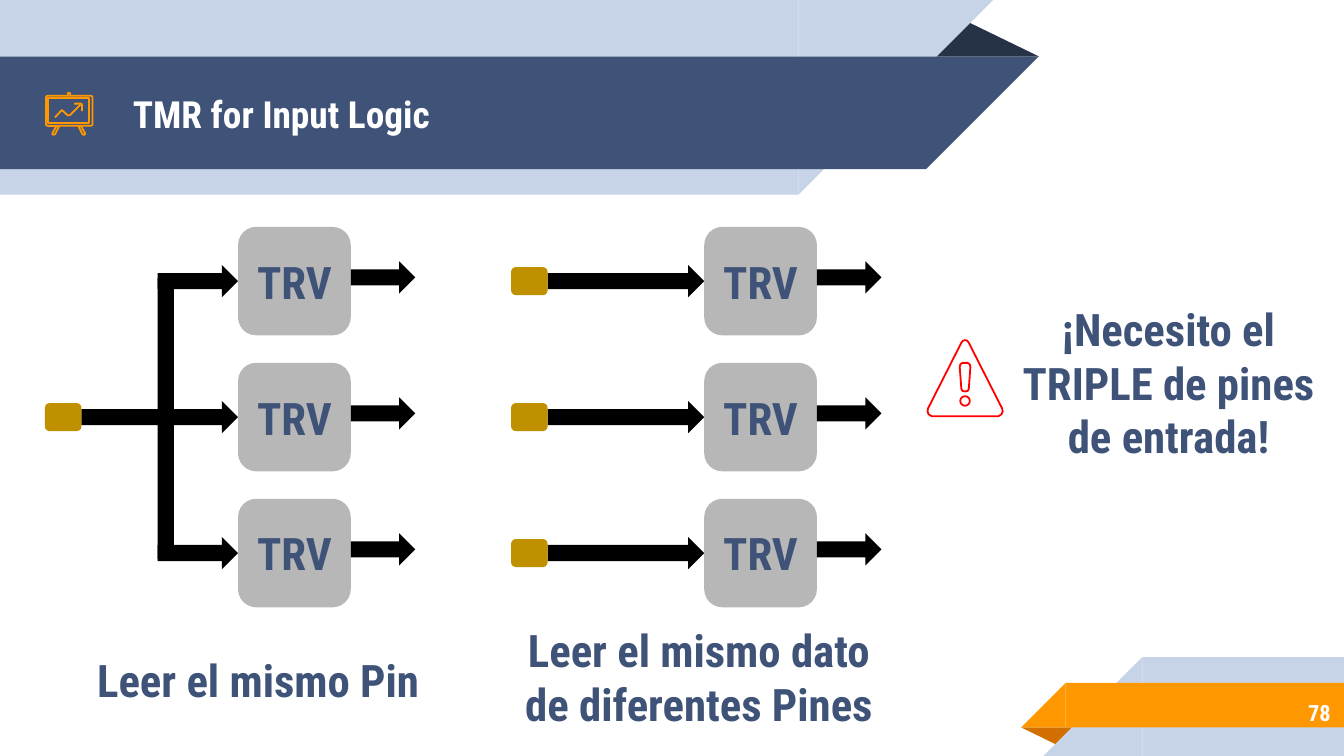
import math
from pptx import Presentation
from pptx.dml.color import RGBColor
from pptx.enum import shapes, text
from pptx.util import Cm, Pt

NAVY = RGBColor(0x3F, 0x53, 0x78)
DARK = RGBColor(0x26, 0x32, 0x48)
PALE = RGBColor(0xC7, 0xD3, 0xE6)
ORANGE = RGBColor(0xFF, 0x98, 0x00)
RUST = RGBColor(0xD2, 0x6F, 0x00)
GRAY = RGBColor(0xB7, 0xB7, 0xB7)
GOLD = RGBColor(0xBF, 0x90, 0x00)
RED = RGBColor(0xFF, 0x00, 0x00)
BLACK = RGBColor(0, 0, 0)
WHITE = RGBColor(0xFF, 0xFF, 0xFF)
FONT = "Roboto Condensed"
MSO = shapes.MSO_SHAPE
ALIGN = text.PP_ALIGN

# Content; all lengths are in centimetres
TITLE = "TMR for Input Logic"
PAGE = "78"
BLOCK = "TRV"
CAPTIONS = [
    ("Leer el mismo Pin", (1.12, 12.4, 7.52, 0.89)),
    ("Leer el mismo dato de diferentes Pines", (9.45, 11.99, 7.52, 1.6)),
    ("¡Necesito el TRIPLE de pines de entrada!", (18.95, 5.61, 6.27, 3.23)),
]

# Slanted bands: left, top, width, height, colour; the slant is as wide as high
TOP_BANDS = [(0, 0, 15.09, 3.68, PALE), (0, 1.07, 17.5, 2.13, NAVY)]
BOTTOM_BANDS = [(21.59, 12.42, 3.81, 1.87, PALE),
                (20.14, 12.91, 5.26, 0.84, ORANGE)]

# Diagram grid
ROWS = 3
FIRST_TOP, ROW_STEP = 4.29, 2.57
COLUMN_STEP = 8.81
PIN_X, PIN_W, PIN_H = 0.85, 0.69, 0.53
BLOCK_X, BLOCK_W, BLOCK_H = 4.5, 2.13, 2.05
BUS_X, BUS_W = 2.98, 0.31
ARROW_H, OUT_W, OUT_RISE = 0.61, 1.22, 0.07

# Board icon
BOARD_AXIS = 1.3
LEG = [(1.07, 2.38), (0.99, 2.52), (1.0, 2.55), (1.04, 2.54), (1.12, 2.38)]
BOARD_LINES = [
    [(1.28, 1.8), (1.28, 1.77), (1.3, 1.75), (1.33, 1.77), (1.33, 1.8)],
    LEG,
    [(2 * BOARD_AXIS - x, y) for x, y in LEG],
    [(1.52, 1.98), (1.32, 2.18), (1.28, 2.18), (1.17, 2.08), (1.04, 2.22)],
    [(1.4, 1.96), (1.54, 1.96), (1.55, 1.98), (1.55, 2.1)],
]

# Right halves of the warning sign: distance from the axis, height
WARNING_AXIS = 18.24
WARNING_HALVES = [
    [(0, 6.43), (0.04, 6.44), (0.07, 6.48), (0.7, 7.72), (0.71, 7.78),
     (0.69, 7.83), (0.63, 7.87)],
    [(0.05, 6.86), (0.09, 6.89), (0.1, 6.94), (0.07, 7.35), (0.05, 7.39),
     (0, 7.4)],
    [(0.09 * math.sin(math.pi * i / 8), 7.58 - 0.09 * math.cos(math.pi * i / 8))
     for i in range(9)],
]

prs = Presentation()
prs.slide_width, prs.slide_height = Cm(25.4), Cm(14.29)
s = prs.slides.add_slide(prs.slide_layouts[5])


def add_shape(kind, x, y, w, h, fill=None, line=None, rotation=0):
    sp = s.shapes.add_shape(kind, Cm(x), Cm(y), Cm(w), Cm(h))
    sp.rotation = rotation
    return paint(sp, fill, line)


def paint(sp, fill=None, line=None):
    sp.shadow.inherit = False
    if fill is None:
        sp.fill.background()
    else:
        sp.fill.solid()
        sp.fill.fore_color.rgb = fill
    if line is None:
        sp.line.fill.background()
    else:
        sp.line.color.rgb = line
        sp.line.width = Pt(0.96)
    return sp


def draw_outline(contours, color, close):
    points = [[(Cm(x), Cm(y)) for x, y in c] for c in contours]
    builder = s.shapes.build_freeform(*points[0][0])
    for i, contour in enumerate(points):
        if i:
            builder.move_to(*contour[0])
        builder.add_line_segments(contour[1:], close=close)
    paint(builder.convert_to_shape(), line=color)


def write(sp, words, size, color, align):
    tf = sp.text_frame
    tf.word_wrap = True
    tf.auto_size = text.MSO_AUTO_SIZE.NONE
    tf.vertical_anchor = text.MSO_ANCHOR.MIDDLE
    tf.margin_left = tf.margin_right = tf.margin_top = tf.margin_bottom = Cm(0.25)
    p = tf.paragraphs[0]
    p.alignment = align
    r = p.add_run()
    r.text = words
    r.font.name, r.font.size, r.font.bold = FONT, Pt(size), True
    r.font.color.rgb = color


def add_text(words, box, size, color, align):
    sp = s.shapes.add_textbox(*[Cm(v) for v in box])
    write(sp, words, size, color, align)


# Ribbons
fold = add_shape(MSO.ISOSCELES_TRIANGLE, 17.48, 0.36, 2.16, 0.71, DARK)
fold.adjustments[0] = 0.324
for x, y, w, h, color in TOP_BANDS:
    add_shape(MSO.RECTANGLE, x, y, w, h, color)
    add_shape(MSO.RIGHT_TRIANGLE, x + w, y, h, h, color, rotation=90)
fold = add_shape(MSO.ISOSCELES_TRIANGLE, 19.3, 13.75, 1.09, 0.36, RUST, rotation=180)
fold.adjustments[0] = 0.324
for x, y, w, h, color in BOTTOM_BANDS:
    add_shape(MSO.RECTANGLE, x, y, w, h, color)
    add_shape(MSO.RIGHT_TRIANGLE, x - h, y, h, h, color, rotation=270)

# Title, brought in front of the ribbons, and page number
title = s.shapes.title
title.left, title.top, title.width, title.height = Cm(2.26), Cm(1.09), Cm(15.19), Cm(2.13)
s.shapes.element.append(title.element)
write(title, TITLE, 20, WHITE, ALIGN.LEFT)
add_text(PAGE, (21.26, 13.03, 4.14, 0.89), 12, WHITE, ALIGN.RIGHT)

# Board icon
board = add_shape(MSO.ROUNDED_RECTANGLE, 0.87, 1.81, 0.88, 0.57, line=ORANGE)
board.adjustments[0] = 0.06
add_shape(MSO.RECTANGLE, 0.91, 1.85, 0.78, 0.48, line=ORANGE)
for points in BOARD_LINES:
    draw_outline([points], ORANGE, close=False)

# Diagram: one shared pin on the left, one pin per block on the right
middle = ROWS // 2
for column in range(2):
    dx = column * COLUMN_STEP
    shared = column == 0
    for row in range(ROWS):
        top = FIRST_TOP + row * ROW_STEP
        center = top + BLOCK_H / 2
        has_pin = not shared or row == middle
        start = dx + (PIN_X + PIN_W if has_pin else BUS_X)
        block_x = dx + BLOCK_X
        add_shape(MSO.RIGHT_ARROW, start, center - ARROW_H / 2,
                  block_x - start, ARROW_H, BLACK)
        block = add_shape(MSO.ROUNDED_RECTANGLE, block_x, top, BLOCK_W, BLOCK_H, GRAY)
        write(block, BLOCK, 24, NAVY, ALIGN.CENTER)
        add_shape(MSO.RIGHT_ARROW, block_x + BLOCK_W, center - OUT_RISE - ARROW_H / 2,
                  OUT_W, ARROW_H, BLACK)
        if has_pin:
            add_shape(MSO.ROUNDED_RECTANGLE, dx + PIN_X, center - PIN_H / 2,
                      PIN_W, PIN_H, GOLD)
add_shape(MSO.RECTANGLE, BUS_X, 5.26, BUS_W, 5.31, BLACK)

# Captions
for words, box in CAPTIONS:
    add_text(words, box, 24, NAVY, ALIGN.CENTER)

# Warning sign
draw_outline([[(WARNING_AXIS + d, y) for d, y in half]
              + [(WARNING_AXIS - d, y) for d, y in reversed(half)]
              for half in WARNING_HALVES], RED, close=True)

prs.save("out.pptx")
